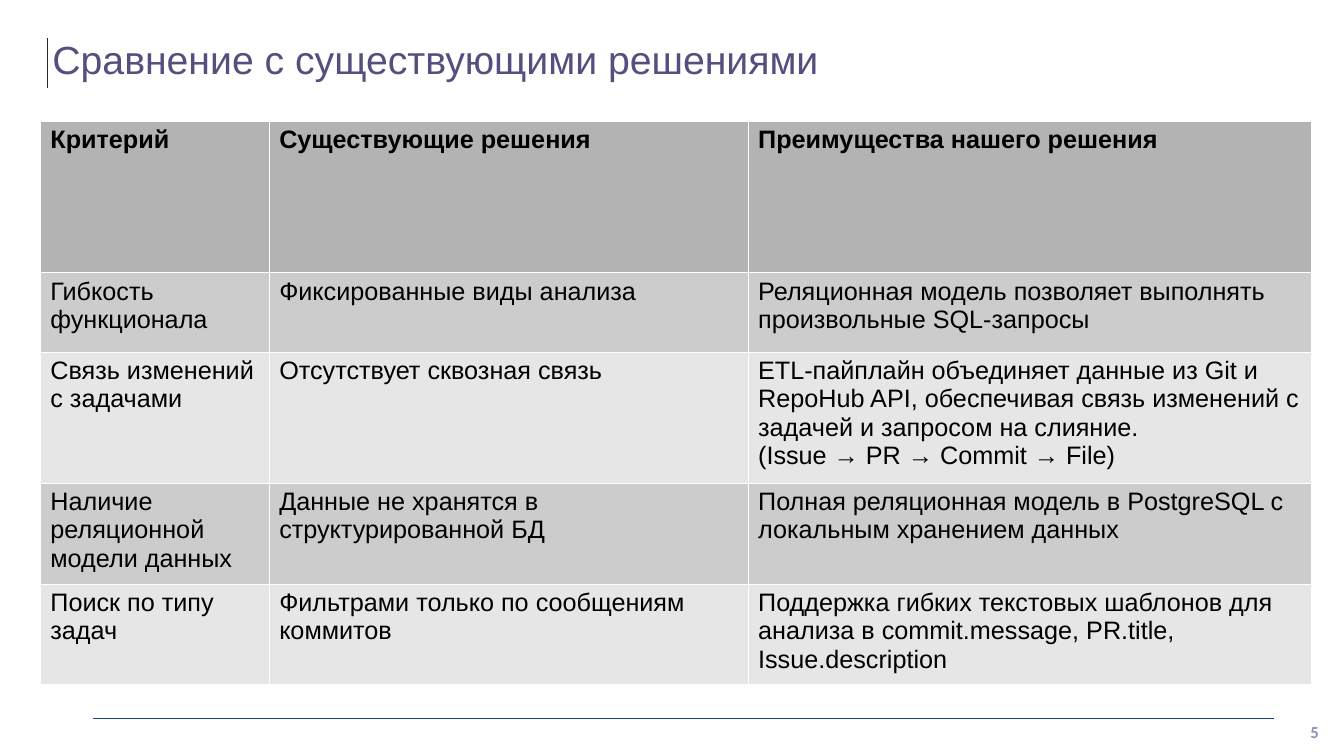
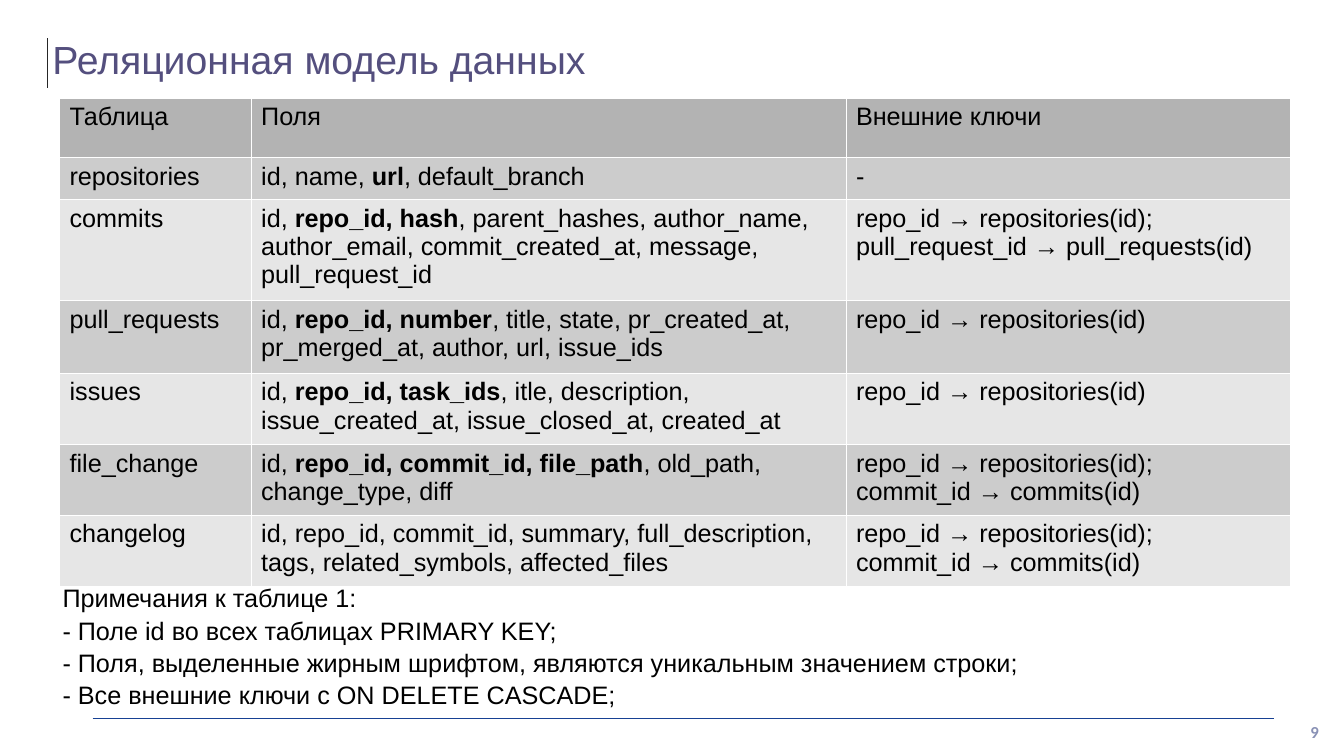
"""Builds two slides: a comparison of solutions and a relational data model."""
from dataclasses import dataclass

from lxml import etree
from pptx import Presentation
from pptx.dml.color import RGBColor
from pptx.enum.shapes import MSO_CONNECTOR
from pptx.enum.text import MSO_ANCHOR, MSO_AUTO_SIZE, PP_ALIGN
from pptx.oxml.ns import qn
from pptx.util import Inches, Pt

STRAIGHT = MSO_CONNECTOR.STRAIGHT
MIDDLE = MSO_ANCHOR.MIDDLE
NO_AUTOFIT = MSO_AUTO_SIZE.NONE
LEFT, RIGHT, JUSTIFY = PP_ALIGN.LEFT, PP_ALIGN.RIGHT, PP_ALIGN.JUSTIFY
TITLE_AND_CONTENT, TITLE_ONLY = 1, 5
BODY_FONT, NUMBER_FONT = "Arial", "Calibri"
BORDER_WIDTH = Pt(0.06)

COLORS = {
    "title": "544F7E",
    "title_rule": "262626",
    "footer_rule": "174193",
    "number": "8991B5",
    "text": "000000",
    "header": "B3B3B3",
    "odd_row": "CCCCCC",
    "even_row": "E6E6E6",
    "border": "FFFFFF",
}


@dataclass(frozen=True)
class Rule:
    start: tuple[float, float]
    end: tuple[float, float]
    color: str
    width: float


@dataclass(frozen=True)
class TableContent:
    left: float
    top: float
    widths: list[float]
    heights: list[float]
    rows: list[tuple[str, ...]]


@dataclass(frozen=True)
class SlideContent:
    title: str
    number: int
    table: TableContent
    notes: tuple[str, ...] = ()


RULES = [
    Rule((0.47, 0.38), (0.47, 0.87), "title_rule", 0.75),
    Rule((0.92, 7.13), (12.64, 7.13), "footer_rule", 1),
]

COMPARISON = SlideContent(
    "Сравнение с существующими решениями",
    5,
    TableContent(
        0.4, 1.2, [2.27, 4.75, 5.58], [1.5] + [0.79] * 4,
        [
            ("*Критерий*", "*Существующие решения*", "*Преимущества нашего решения*"),
            ("Гибкость функционала", "Фиксированные виды анализа",
             "Реляционная модель позволяет выполнять произвольные SQL-запросы"),
            ("Связь изменений с задачами", "Отсутствует сквозная связь",
             "ETL-пайплайн объединяет данные из Git и RepoHub API, обеспечивая связь "
             "изменений с задачей и запросом на слияние.\n(Issue → PR → Commit → File)"),
            ("Наличие реляционной модели данных",
             "Данные не хранятся в структурированной БД",
             "Полная реляционная модель в PostgreSQL с локальным хранением данных"),
            ("Поиск по типу задач", "Фильтрами только по сообщениям коммитов",
             "Поддержка гибких текстовых шаблонов для анализа в commit.message, "
             "PR.title, Issue.description"),
        ],
    ),
)

REPOSITORY_KEY = "repo_id → repositories(id)"
COMMIT_KEYS = f"{REPOSITORY_KEY};\ncommit_id → commits(id)"

DATA_MODEL = SlideContent(
    "Реляционная модель данных",
    9,
    TableContent(
        0.59, 0.97, [1.9, 5.9, 4.4], [0.59, 0.42, 0.98, 0.72, 0.71, 0.69, 0.7],
        [
            ("Таблица", "Поля", "Внешние ключи"),
            ("repositories", "id, name, *url*, default_branch", "-"),
            ("commits",
             "id, *repo_id, hash*, parent_hashes, author_name, author_email, "
             "commit_created_at, message, pull_request_id",
             f"{REPOSITORY_KEY}; pull_request_id → pull_requests(id)"),
            ("pull_requests",
             "id, *repo_id, number*, title, state, pr_created_at, pr_merged_at, "
             "author, url, issue_ids",
             REPOSITORY_KEY),
            ("issues",
             "id, *repo_id, task_ids*, itle, description, issue_created_at, "
             "issue_closed_at, created_at",
             REPOSITORY_KEY),
            ("file_change",
             "id, *repo_id, commit_id, file_path*, old_path, change_type, diff",
             COMMIT_KEYS),
            ("changelog",
             "id, repo_id, commit_id, summary, full_description, tags, "
             "related_symbols, affected_files",
             COMMIT_KEYS),
        ],
    ),
    (
        "Примечания к таблице 1:",
        "- Поле id во всех таблицах PRIMARY KEY;",
        "- Поля, выделенные жирным шрифтом, являются уникальным значением строки;",
        "- Все внешние ключи с ON DELETE CASCADE;",
    ),
)


def rgb(name: str) -> RGBColor:
    return RGBColor.from_string(COLORS[name])


def format_font(font, size: float, color: str, name: str = BODY_FONT, bold: bool = False) -> None:
    font.name, font.size, font.bold = name, Pt(size), bold
    font.color.rgb = rgb(color)


def place(shape, left: float, top: float, width: float, height: float) -> None:
    shape.left, shape.top = Inches(left), Inches(top)
    shape.width, shape.height = Inches(width), Inches(height)


def add_title(slide, text: str) -> None:
    title = slide.shapes.title
    place(title, 0.52, 0.31, 9.02, 0.6)
    frame = title.text_frame
    frame.text = text
    frame.auto_size = NO_AUTOFIT
    frame.vertical_anchor = MIDDLE
    frame.margin_left = frame.margin_right = frame.margin_top = frame.margin_bottom = 0
    paragraph = frame.paragraphs[0]
    paragraph.alignment = LEFT
    paragraph.line_spacing = 0.9
    format_font(paragraph.runs[0].font, 28, "title")


def add_rule(slide, rule: Rule) -> None:
    ends = [Inches(value) for value in (*rule.start, *rule.end)]
    connector = slide.shapes.add_connector(STRAIGHT, *ends)
    connector.line.color.rgb = rgb(rule.color)
    connector.line.width = Pt(rule.width)
    etree.SubElement(connector.element.spPr, qn("a:effectLst"))


def add_number(slide, number: int) -> None:
    box = slide.shapes.add_textbox(Inches(10.18), Inches(7.06), Inches(3), Inches(0.4))
    frame = box.text_frame
    frame.text = str(number)
    frame.word_wrap = True
    frame.vertical_anchor = MIDDLE
    paragraph = frame.paragraphs[0]
    paragraph.alignment = RIGHT
    format_font(paragraph.runs[0].font, 12, "number", NUMBER_FONT, True)


def add_notes_list(slide, lines: tuple[str, ...]) -> None:
    body = slide.placeholders[1]
    place(body, 0.52, 5.71, 12.19, 1.42)
    frame = body.text_frame
    frame.text = "\n".join(lines)
    frame.auto_size = NO_AUTOFIT
    for paragraph in frame.paragraphs:
        paragraph.alignment = JUSTIFY
        paragraph.line_spacing = 1.07
        paragraph.space_before = Pt(0)
        properties = paragraph._p.get_or_add_pPr()
        properties.set("marL", "0")
        properties.set("indent", "0")
        etree.SubElement(properties, qn("a:buNone"))
        format_font(paragraph.runs[0].font, 18, "text")


def add_borders(cell) -> None:
    properties = cell._tc.get_or_add_tcPr()
    for index, side in enumerate(("lnL", "lnR", "lnT", "lnB")):
        line = etree.Element(qn(f"a:{side}"), w=str(int(BORDER_WIDTH)))
        fill = etree.SubElement(line, qn("a:solidFill"))
        etree.SubElement(fill, qn("a:srgbClr"), val=COLORS["border"])
        properties.insert(index, line)


def fill_cell(cell, text: str, color: str) -> None:
    cell.fill.solid()
    cell.fill.fore_color.rgb = rgb(color)
    add_borders(cell)
    frame = cell.text_frame
    frame.text = text.replace("*", "")
    for paragraph, line in zip(frame.paragraphs, text.split("\n")):
        paragraph.clear()
        for index, part in enumerate(line.split("*")):
            if part:
                run = paragraph.add_run()
                run.text = part
                format_font(run.font, 18, "text", bold=index % 2 == 1)


def add_table(slide, content: TableContent) -> None:
    table = slide.shapes.add_table(
        len(content.rows), len(content.widths),
        Inches(content.left), Inches(content.top),
        Inches(sum(content.widths)), Inches(sum(content.heights)),
    ).table
    table.first_row = table.horz_banding = False
    for column, width in zip(table.columns, content.widths):
        column.width = Inches(width)
    for index, (row, height, texts) in enumerate(zip(table.rows, content.heights, content.rows)):
        row.height = Inches(height)
        color = "header" if index == 0 else "odd_row" if index % 2 else "even_row"
        for cell, text in zip(row.cells, texts):
            fill_cell(cell, text, color)


def add_slide(presentation, content: SlideContent) -> None:
    layout = TITLE_AND_CONTENT if content.notes else TITLE_ONLY
    slide = presentation.slides.add_slide(presentation.slide_layouts[layout])
    add_title(slide, content.title)
    for rule in RULES:
        add_rule(slide, rule)
    if content.notes:
        add_notes_list(slide, content.notes)
    add_number(slide, content.number)
    add_table(slide, content.table)


def main() -> None:
    presentation = Presentation()
    presentation.slide_width, presentation.slide_height = Inches(13.33), Inches(7.5)
    for content in (COMPARISON, DATA_MODEL):
        add_slide(presentation, content)
    presentation.save("out.pptx")


if __name__ == "__main__":
    main()
